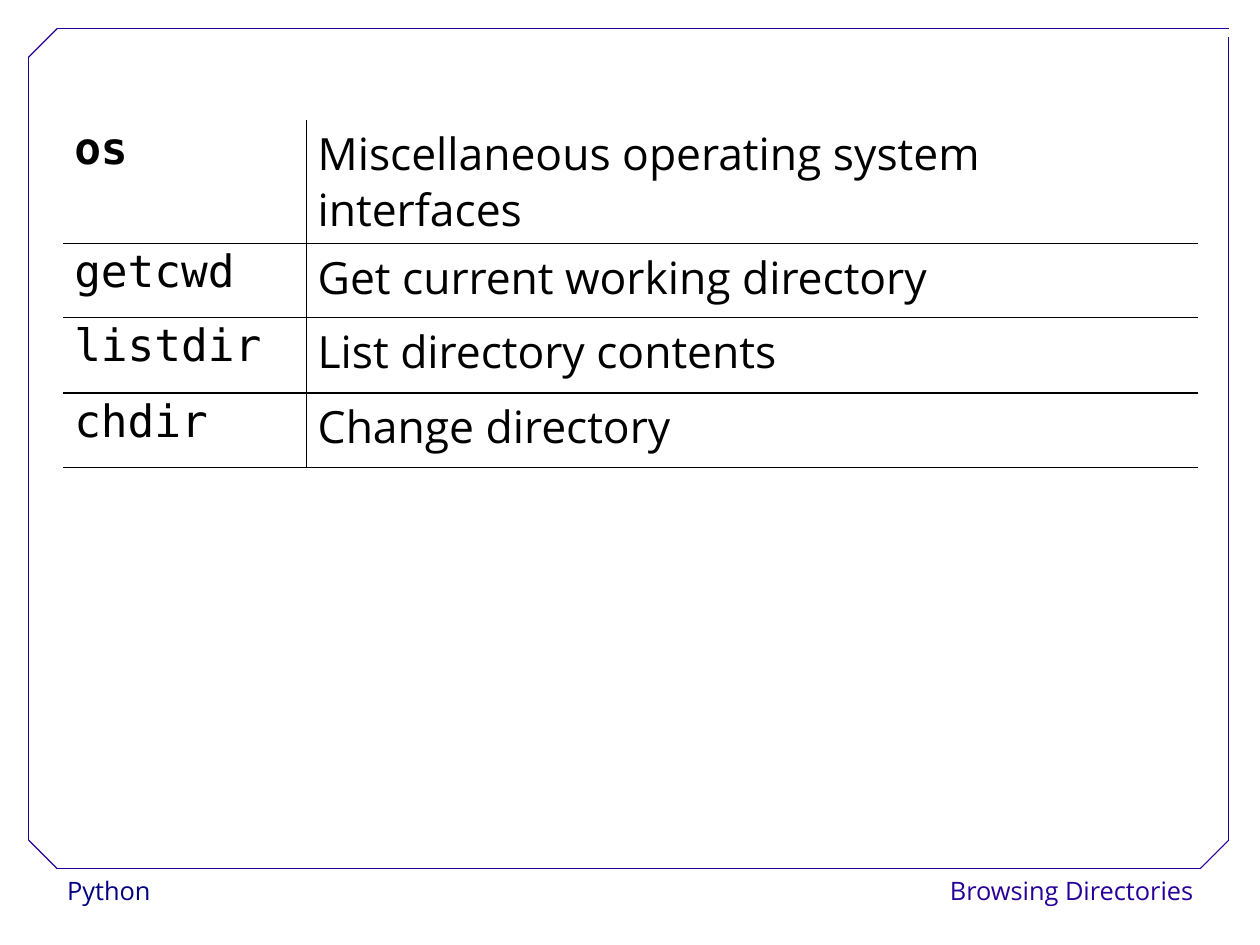
from dataclasses import dataclass
from lxml.etree import SubElement
from pptx import Presentation
from pptx.dml.color import RGBColor as RGB
from pptx.enum.shapes import MSO_CONNECTOR as CONN
from pptx.enum.text import PP_ALIGN as ALIGN
from pptx.oxml.ns import qn
from pptx.util import Inches, Pt


@dataclass(frozen=True)
class Theme:
    ink: str = "000000"
    navy: str = "000080"
    violet: str = "280099"
    sans: str = "Open Sans"
    mono: str = "DejaVu Sans Mono"
    body: int = 28
    footer: int = 16
    frame: float = 0.75
    rule: int = 1


T = Theme()
CM_PER_INCH = 2.54
SLIDE_CM = (28, 21)
FUNCTIONS = [
    ("os", "Miscellaneous operating system interfaces"),
    ("getcwd", "Get current working directory"),
    ("listdir", "List directory contents"),
    ("chdir", "Change directory"),
]
FOOTERS = [
    ("Python", 0.49, ALIGN.LEFT, T.navy),
    ("Browsing Directories", 8.14, ALIGN.RIGHT, T.violet),
]
FOOTER_WIDTH = 2.4
COLS = (2.13, 7.8)
ROWS = (1.08, 0.65, 0.66, 0.65)
LEFT, TOP, RIGHT, BOTTOM, CUT = 0.25, 0.25, 10.75, 7.6, 0.25
FRAME = [
    ((LEFT + CUT, BOTTOM), (RIGHT - CUT, BOTTOM)),
    ((LEFT, BOTTOM - CUT), (LEFT, TOP + CUT)),
    ((LEFT + CUT, TOP), (RIGHT, TOP)),
    ((RIGHT, BOTTOM - CUT), (RIGHT, 0.32)),
    ((LEFT, TOP + CUT), (LEFT + CUT, TOP)),
    ((RIGHT - CUT, BOTTOM), (RIGHT, BOTTOM - CUT)),
    ((LEFT, BOTTOM - CUT), (LEFT + CUT, BOTTOM)),
]


def write(tf, text, font, size, color, spacing, bold=False, align=ALIGN.LEFT):
    p = tf.paragraphs[0]
    p.alignment = align
    p.line_spacing = spacing
    r = p.add_run()
    r.text = text
    r.font.name, r.font.size, r.font.bold = font, Pt(size), bold
    r.font.color.rgb = RGB.from_string(color)


def set_borders(cell, visible):
    tc_pr = cell._tc.get_or_add_tcPr()
    for side in "LRTB":
        ln = SubElement(tc_pr, qn(f"a:ln{side}"), w=str(Pt(T.rule)))
        if side in visible:
            fill = SubElement(ln, qn("a:solidFill"))
            SubElement(fill, qn("a:srgbClr"), val=T.ink)
        else:
            SubElement(ln, qn("a:noFill"))


prs = Presentation()
prs.slide_width, prs.slide_height = (Inches(cm / CM_PER_INCH) for cm in SLIDE_CM)
s = prs.slides.add_slide(prs.slide_layouts[6])

for text, x, align, color in FOOTERS:
    sp = s.shapes.add_textbox(Inches(x), Inches(BOTTOM), Inches(FOOTER_WIDTH), Inches(0.4))
    sp.text_frame.word_wrap = True
    write(sp.text_frame, text, T.sans, T.footer, color, 1.02, align=align)

for start, end in FRAME:
    line = s.shapes.add_connector(CONN.STRAIGHT, *map(Inches, start + end))
    line.line.color.rgb = RGB.from_string(T.violet)
    line.line.width = Pt(T.frame)
    SubElement(line._element.spPr, qn("a:effectLst"))

table = s.shapes.add_table(
    len(ROWS), len(COLS), Inches(0.55), Inches(1.05), Inches(sum(COLS)), Inches(sum(ROWS))
).table
table.first_row = table.horz_banding = False
for col, width in zip(table.columns, COLS):
    col.width = Inches(width)
for row, height in zip(table.rows, ROWS):
    row.height = Inches(height)

for i, entry in enumerate(FUNCTIONS):
    for j, text in enumerate(entry):
        cell = table.cell(i, j)
        write(cell.text_frame, text, (T.mono, T.sans)[j], T.body, T.ink, 0.93, bold=i == j == 0)
        cell.text_frame.paragraphs[0].space_after = Pt(14.2)
        set_borders(cell, "RL"[j] + "B" + ("T" if i else ""))
        cell.fill.background()

prs.save("out.pptx")
